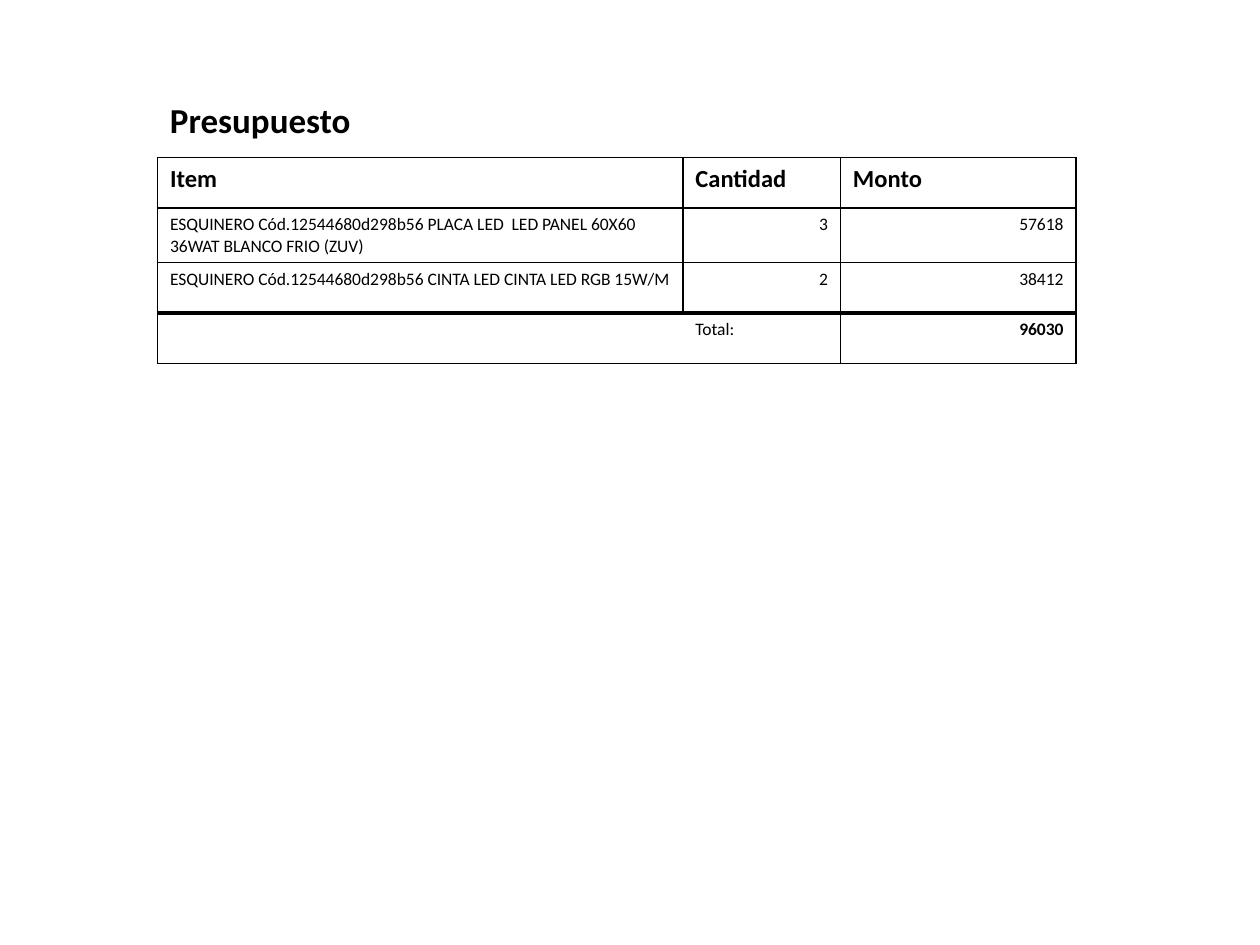
from lxml.etree import SubElement
from pptx import Presentation
from pptx.dml.color import RGBColor
from pptx.enum.text import MSO_AUTO_SIZE, PP_ALIGN
from pptx.oxml.ns import qn
from pptx.util import Inches, Pt

BLACK = "000000"
WHITE = "FFFFFF"
COLUMN_WIDTHS = [4.17, 1.25, 1.87]
ROW_HEIGHT = 0.4
ROWS = [
    ["Item", "Cantidad", "Monto"],
    ["ESQUINERO Cód.12544680d298b56 PLACA LED  LED PANEL 60X60 36WAT BLANCO FRIO (ZUV)", "3", "57618"],
    ["ESQUINERO Cód.12544680d298b56 CINTA LED CINTA LED RGB 15W/M", "2", "38412"],
    ["", "Total:", "96030"],
]


def color(value):
    """Turn a hex string into a colour."""
    return RGBColor.from_string(value)


def style_paragraph(paragraph, size, bold):
    """Set the common font of a paragraph."""
    font = paragraph.font
    font.name = "Calibri"
    font.size = Pt(size)
    font.bold = bold
    font.color.rgb = color(BLACK)


def set_borders(cell, widths):
    """Draw cell borders from a side-to-points mapping; zero means no line."""
    properties = cell._tc.get_or_add_tcPr()
    for side in "LRTB":
        line = SubElement(properties, qn(f"a:ln{side}"), w=str(Pt(widths[side])))
        if widths[side]:
            fill = SubElement(line, qn("a:solidFill"))
            SubElement(fill, qn("a:srgbClr"), val=BLACK)
        else:
            SubElement(line, qn("a:noFill"))


def add_title(slide, left, top, width, height):
    """Add the slide heading."""
    frame = slide.shapes.add_textbox(Inches(left), Inches(top), Inches(width), Inches(height)).text_frame
    frame.word_wrap = True
    frame.auto_size = MSO_AUTO_SIZE.SHAPE_TO_FIT_TEXT
    paragraph = frame.paragraphs[0]
    paragraph.text = "Presupuesto"
    style_paragraph(paragraph, 20, True)


def add_budget_table(slide, left, top):
    """Add the budget table with its header and total rows."""
    last_row = len(ROWS) - 1
    table = slide.shapes.add_table(
        len(ROWS), len(COLUMN_WIDTHS), Inches(left), Inches(top),
        Inches(sum(COLUMN_WIDTHS)), Inches(ROW_HEIGHT * len(ROWS)),
    ).table
    table.first_row = False
    table.horz_banding = False
    for column, width in zip(table.columns, COLUMN_WIDTHS):
        column.width = Inches(width)
    for row_index, values in enumerate(ROWS):
        is_header = row_index == 0
        is_total = row_index == last_row
        for column_index, value in enumerate(values):
            cell = table.cell(row_index, column_index)
            widths = dict.fromkeys("LRTB", 1)
            if row_index == last_row - 1:
                widths["B"] = 2
            if is_total and column_index == 0:
                widths["R"] = 0
            if is_total and column_index == 1:
                widths["L"] = 0
            set_borders(cell, widths)
            if is_total:
                cell.fill.background()
            else:
                cell.fill.solid()
                cell.fill.fore_color.rgb = color(WHITE)
            paragraph = cell.text_frame.paragraphs[0]
            paragraph.text = value
            if value.isdigit():
                paragraph.alignment = PP_ALIGN.RIGHT
            style_paragraph(paragraph, 14 if is_header else 10, is_header or (is_total and column_index == 2))


def main():
    """Build and save the budget slide."""
    presentation = Presentation()
    presentation.slide_width = Inches(10)
    presentation.slide_height = Inches(7.5)
    slide = presentation.slides.add_slide(presentation.slide_layouts[6])
    add_title(slide, 1.25, 0.73, 6.25, 3.12)
    add_budget_table(slide, 1.25, 1.25)
    presentation.save("out.pptx")


if __name__ == "__main__":
    main()
